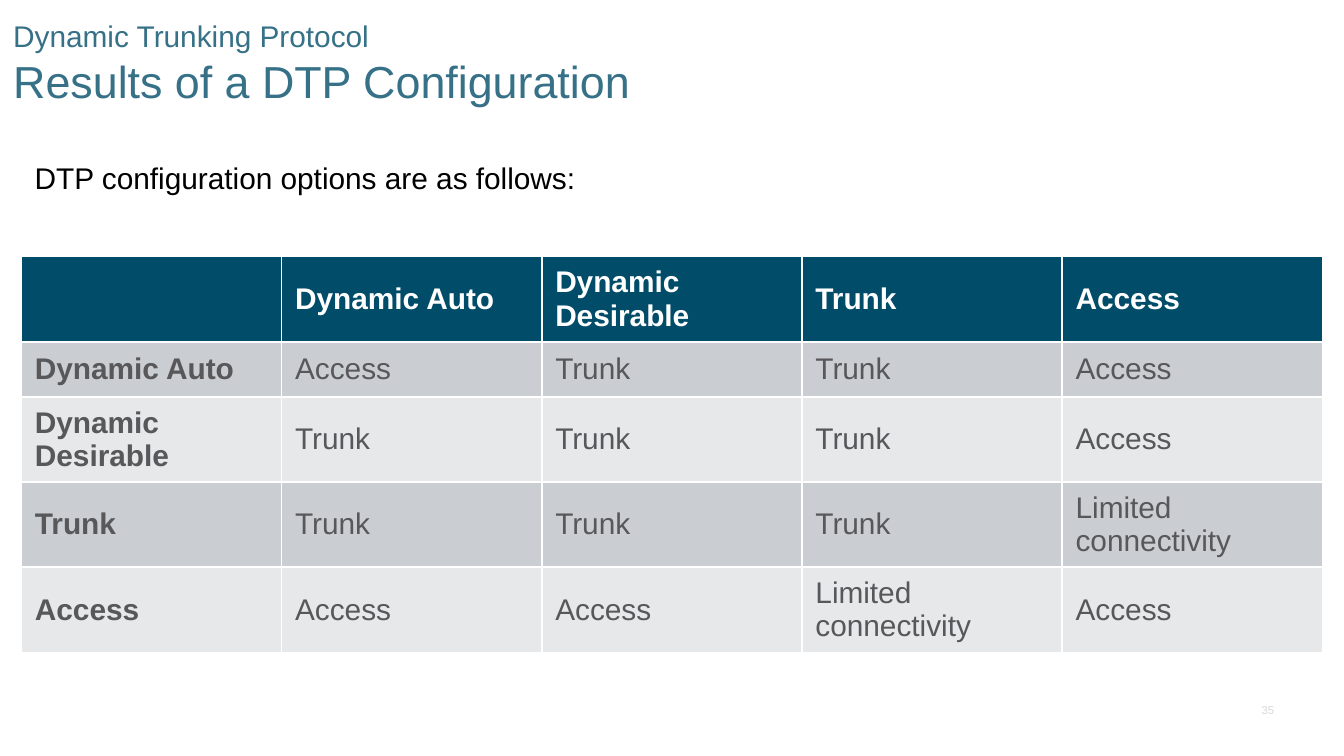
from pptx import Presentation
from pptx.dml.color import RGBColor
from pptx.enum.text import MSO_ANCHOR as Anchor, PP_ALIGN as Align
from pptx.util import Inches, Pt

TEAL = RGBColor(0x36, 0x71, 0x87)
NAVY = RGBColor(0x00, 0x4C, 0x69)
DARK_BAND = RGBColor(0xCA, 0xCE, 0xD3)
LIGHT_BAND = RGBColor(0xE6, 0xE8, 0xEA)
GRAY = RGBColor(0x58, 0x58, 0x5B)
PALE = RGBColor(0xD8, 0xD8, 0xD8)
BLACK = RGBColor(0, 0, 0)
WHITE = RGBColor(0xFF, 0xFF, 0xFF)

TOPIC = "Dynamic Trunking Protocol"
TITLE = "Results of a DTP Configuration"
INTRO = "DTP configuration options are as follows:"
PAGE_NUMBER = "35"
MODES = [
    ["", "Dynamic Auto", "Dynamic Desirable", "Trunk", "Access"],
    ["Dynamic Auto", "Access", "Trunk", "Trunk", "Access"],
    ["Dynamic Desirable", "Trunk", "Trunk", "Trunk", "Access"],
    ["Trunk", "Trunk", "Trunk", "Trunk", "Limited connectivity"],
    ["Access", "Access", "Access", "Limited connectivity", "Access"],
]
LEFT, CONTENT_WIDTH = 0.16, 9.68
ROW_HEIGHT = 0.41
FRAME_SIZE = 3.28


def set_font(font, size, color, bold=False):
    font.name, font.size, font.bold = "Arial", Pt(size), bold
    font.color.rgb = color


def add_text_frame(slide, left, top, width, height, anchor):
    frame = slide.shapes.add_textbox(
        Inches(left), Inches(top), Inches(width), Inches(height)).text_frame
    frame.word_wrap = True
    frame.vertical_anchor = anchor
    return frame


def add_modes_table(slide):
    """Add the grid; its white rules come from the default table style."""
    rows, columns = len(MODES), len(MODES[0])
    frame = slide.shapes.add_table(
        rows, columns, Inches(LEFT), Inches(1.91),
        Inches(CONTENT_WIDTH), Inches(ROW_HEIGHT * rows))
    frame.width = frame.height = Inches(FRAME_SIZE)
    table = frame.table
    table.first_col = True
    for r, labels in enumerate(MODES):
        is_header = r == 0
        band = NAVY if is_header else DARK_BAND if r % 2 else LIGHT_BAND
        for c, label in enumerate(labels):
            cell = table.cell(r, c)
            cell.fill.solid()
            cell.fill.fore_color.rgb = band
            cell.vertical_anchor = Anchor.MIDDLE
            cell.text = label
            set_font(cell.text_frame.paragraphs[0].font, 16,
                     WHITE if is_header else GRAY, is_header or c == 0)


prs = Presentation()
prs.slide_width = Inches(10)
prs.slide_height = prs.slide_width * 9 // 16
slide = prs.slides.add_slide(prs.slide_layouts[6])

number = add_text_frame(slide, 9.31, 5.19, 0.24, 0.17, Anchor.BOTTOM)
number.word_wrap = False
number.margin_left = number.margin_right = Inches(0.07)
number.margin_top = number.margin_bottom = Inches(0.03)
number.text = PAGE_NUMBER
number.paragraphs[0].alignment = Align.RIGHT
set_font(number.paragraphs[0].font, 6, PALE)

heading = add_text_frame(slide, 0, 0.05, 10, 0.83, Anchor.MIDDLE).paragraphs[0]
topic = heading.add_run()
topic.text = TOPIC
set_font(topic.font, 16, TEAL)
heading.add_line_break()
title = heading.add_run()
title.text = TITLE
set_font(title.font, 24, TEAL)

intro = add_text_frame(slide, LEFT, 1.14, CONTENT_WIDTH, 0.56, Anchor.TOP)
intro.margin_right = Inches(0.2)
intro.text = INTRO
set_font(intro.paragraphs[0].font, 16, BLACK)

add_modes_table(slide)

prs.save("out.pptx")
